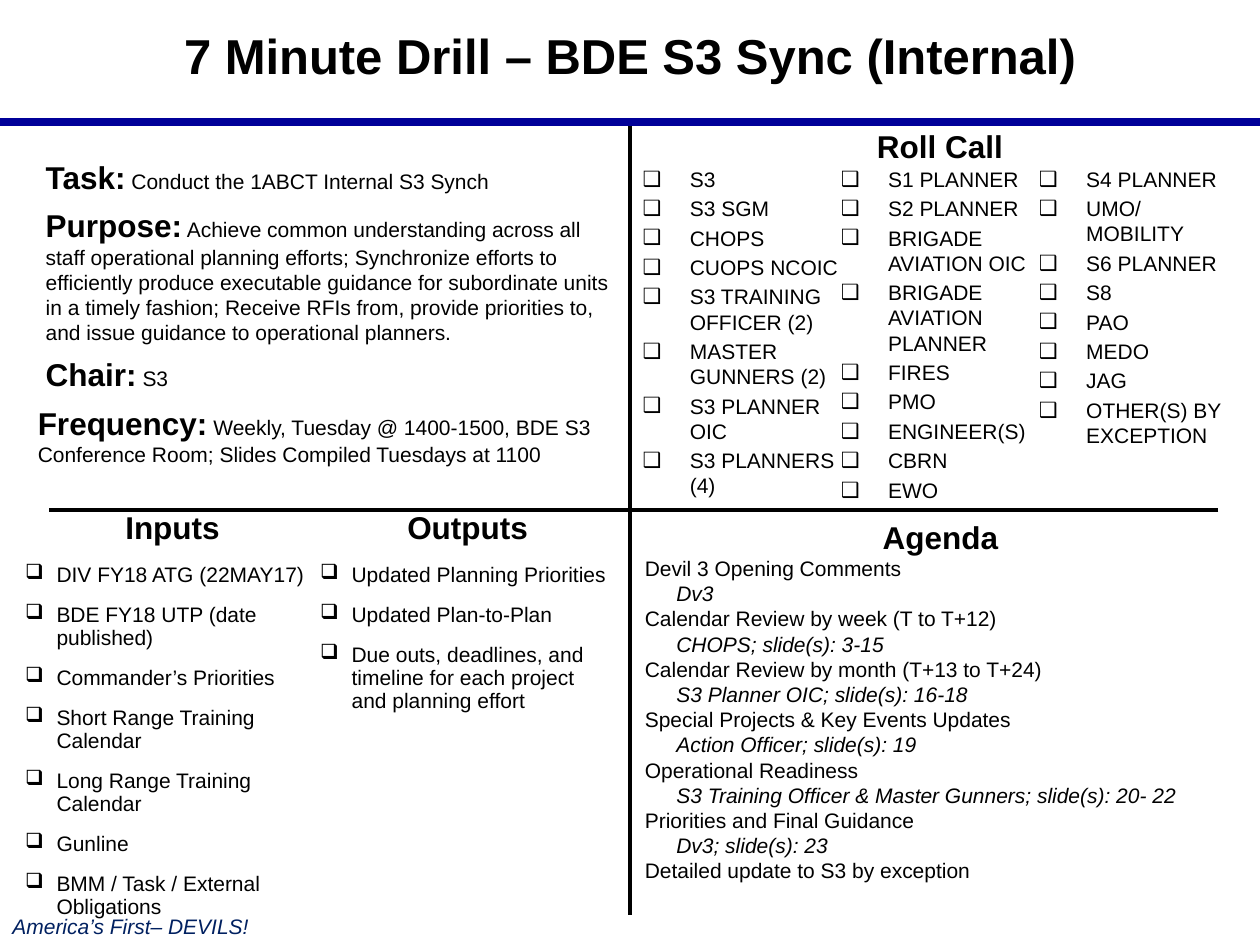
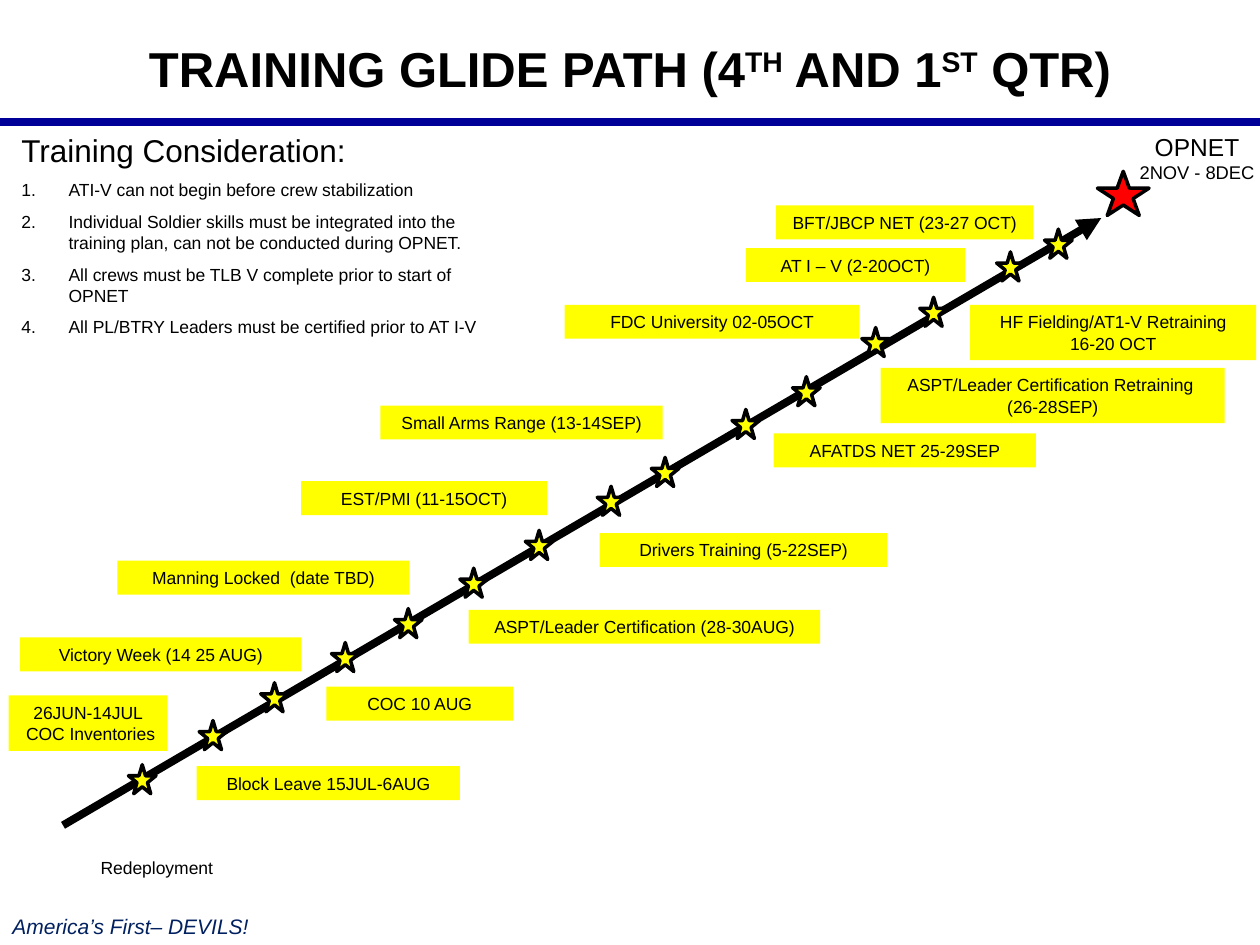
from dataclasses import dataclass, field
from typing import Any, NamedTuple, Optional

import pptx
import pptx.dml.color
import pptx.enum.shapes
import pptx.enum.text
import pptx.oxml
import pptx.oxml.ns
import pptx.util
from lxml import etree

Pt = pptx.util.Pt
RGB = pptx.dml.color.RGBColor
ALIGN = pptx.enum.text.PP_ALIGN
ANCHOR = pptx.enum.text.MSO_ANCHOR
SHAPE = pptx.enum.shapes.MSO_SHAPE
qn = pptx.oxml.ns.qn


@dataclass(frozen=True)
class Theme:
    font: str = "Arial"
    ink: RGB = RGB(0, 0, 0)
    band: RGB = RGB(0, 0, 0x99)
    motto: RGB = RGB(0, 0x20, 0x60)
    label: RGB = RGB(0xFF, 0xFF, 0)
    goal: RGB = RGB(0xFF, 0, 0)
    title: float = 28
    heading: float = 18
    opnet: float = 14
    text: float = 12
    dates: float = 10.5
    small: float = 10
    thick: float = 4.5
    rule: float = 2.25
    outline: float = 2


T = Theme()


class Box(NamedTuple):
    left: float
    top: float
    width: float
    height: float


class Run(NamedTuple):
    text: str
    size: float = T.text
    bold: bool = False
    italic: bool = False
    color: RGB = T.ink
    raised: bool = False


@dataclass(frozen=True)
class Para:
    runs: list[Run]
    margin: float = 0
    hang: float = 0
    bullet: str = ""
    fmt: dict[str, Any] = field(default_factory=dict)


class Label(NamedTuple):
    left: float
    top: float
    width: float
    lines: list[str]


CENTER = {"alignment": ALIGN.CENTER}
IO_FMT = {"line_spacing": 0.9, "space_before": Pt(10)}


def apply(obj: Any, values: dict[str, Any]) -> None:
    for name, value in values.items():
        setattr(obj, name, value)


def place(sp: Any, box: Box) -> None:
    apply(sp, {name: Pt(value) for name, value in box._asdict().items()})


def write(sp: Any, paras: list[Para], columns: int = 1, **frame: Any) -> None:
    tf = sp.text_frame
    apply(tf, {"word_wrap": True, "auto_size": pptx.enum.text.MSO_AUTO_SIZE.NONE,
               "vertical_anchor": ANCHOR.TOP} | frame)
    if columns > 1:
        tf._txBody.bodyPr.set("numCol", str(columns))
    for i, para in enumerate(paras):
        p = tf.add_paragraph() if i else tf.paragraphs[0]
        apply(p, para.fmt)
        pPr = p._p.get_or_add_pPr()
        pPr.set("marL", str(Pt(para.margin)))
        pPr.set("indent", str(Pt(-para.hang)))
        if para.bullet == "1.":
            etree.SubElement(pPr, qn("a:buAutoNum"), type="arabicPeriod")
        elif para.bullet:
            etree.SubElement(pPr, qn("a:buChar"), char=para.bullet)
        else:
            etree.SubElement(pPr, qn("a:buNone"))
        for run in para.runs:
            r = p.add_run()
            r.text = run.text
            apply(r.font, {"name": T.font, "size": Pt(run.size),
                           "bold": run.bold, "italic": run.italic})
            r.font.color.rgb = run.color
            if run.raised:
                r._r.get_or_add_rPr().set("baseline", "30000")


def add_text(s: Any, box: Box, paras: list[Para], **frame: Any) -> None:
    sp = s.shapes.add_textbox(*map(Pt, box))
    write(sp, paras, **frame)


def add_line(s: Any, start: tuple[float, float], end: tuple[float, float],
             color: RGB, width: float, arrow: bool = False) -> None:
    c = s.shapes.add_connector(pptx.enum.shapes.MSO_CONNECTOR.STRAIGHT,
                               *map(Pt, start + end))
    c.line.color.rgb = color
    c.line.width = Pt(width)
    spPr = c._element.spPr
    if arrow:
        etree.SubElement(spPr.find(qn("a:ln")), qn("a:tailEnd"), type="triangle")
    etree.SubElement(spPr, qn("a:effectLst"))


def add_shape(s: Any, kind: Any, box: Box, fill: RGB, outlined: bool) -> Any:
    sp = s.shapes.add_shape(kind, *map(Pt, box))
    sp.shadow.inherit = False
    sp.fill.solid()
    sp.fill.fore_color.rgb = fill
    if outlined:
        sp.line.color.rgb = T.ink
        sp.line.width = Pt(T.outline)
    else:
        sp.line.fill.background()
    return sp


def add_label(s: Any, label: Label) -> None:
    height = 19.4 + 12.3 * (len(label.lines) - 1)
    sp = add_shape(s, SHAPE.RECTANGLE, Box(*label[:3], height), T.label, False)
    write(sp, [Para([Run(line, T.small)], fmt=CENTER) for line in label.lines],
          vertical_anchor=ANCHOR.MIDDLE)


def heading(text: str, **fmt: Any) -> Para:
    return Para([Run(text, T.heading, True)], fmt=CENTER | fmt)


def checks(items: list[str], indent: float, **fmt: Any) -> list[Para]:
    return [Para([Run(item)], indent, indent, "❑", fmt) for item in items]


def fact(name: str, text: str, margin: float = 4.5) -> Para:
    return Para([Run(name, T.heading, True), Run(" " + text)], margin,
                fmt={"space_after": Pt(6)})


def new_slide(prs: Any, title_box: Box, title: list[Run], **fmt: Any) -> Any:
    s = prs.slides.add_slide(prs.slide_layouts[1])
    place(s.shapes.title, title_box)
    write(s.shapes.title, [Para(title, fmt=CENTER | fmt)], vertical_anchor=ANCHOR.MIDDLE)
    add_line(s, (0, 69.7), (720, 69.7), T.band, T.thick)
    add_text(s, Box(0, 518.4, 190.8, 21.6),
             [Para([Run("America’s First– DEVILS!", italic=True, color=T.motto)])],
             word_wrap=False)
    return s


FACTS = [
    fact("Task:", "Conduct the 1ABCT Internal S3 Synch"),
    fact("Purpose:", "Achieve common understanding across all staff operational planning "
         "efforts; Synchronize efforts to efficiently produce executable guidance for "
         "subordinate units in a timely fashion; Receive RFIs from, provide priorities to, "
         "and issue guidance to operational planners."),
    fact("Chair:", "S3"),
    fact("Frequency:", "Weekly, Tuesday @ 1400-1500, BDE S3 Conference Room; "
         "Slides Compiled Tuesdays at 1100", 0),
]
ROLL_CALL = [
    "S3", "S3 SGM", "CHOPS", "CUOPS NCOIC", "S3 TRAINING OFFICER (2)",
    "MASTER GUNNERS (2)", "S3 PLANNER OIC", "S3 PLANNERS (4)",
    "S1 PLANNER", "S2 PLANNER", "BRIGADE AVIATION OIC", "BRIGADE AVIATION PLANNER",
    "FIRES", "PMO", "ENGINEER(S)", "CBRN", "EWO",
    "S4 PLANNER", "UMO/MOBILITY", "S6 PLANNER", "S8", "PAO", "MEDO", "JAG",
    "OTHER(S) BY EXCEPTION",
]
INPUTS = [
    "DIV FY18 ATG (22MAY17)", "BDE FY18 UTP (date published)", "Commander’s Priorities",
    "Short Range Training Calendar", "Long Range Training Calendar", "Gunline",
    "BMM / Task / External Obligations",
]
OUTPUTS = [
    "Updated Planning Priorities", "Updated Plan-to-Plan",
    "Due outs, deadlines, and timeline for each project and planning effort",
]
AGENDA: list[tuple[str, Optional[str]]] = [
    ("Devil 3 Opening Comments", "Dv3"),
    ("Calendar Review by week (T to T+12)", "CHOPS; slide(s): 3-15"),
    ("Calendar Review by month (T+13 to T+24)", "S3 Planner OIC; slide(s): 16-18"),
    ("Special Projects & Key Events Updates", "Action Officer; slide(s): 19"),
    ("Operational Readiness", "S3 Training Officer & Master Gunners; slide(s): 20- 22"),
    ("Priorities and Final Guidance", "Dv3; slide(s): 23"),
    ("Detailed update to S3 by exception", None),
]
CONSIDERATIONS = [
    "ATI-V can not begin before crew stabilization",
    "Individual Soldier skills must be integrated into the training plan, "
    "can not be conducted during OPNET.",
    "All crews must be TLB V complete prior to start of OPNET",
    "All PL/BTRY Leaders must be certified prior to AT I-V",
]
LABELS = [
    Label(426.2, 141.8, 125.3, ["AT I – V (2-20OCT)"]),
    Label(112.3, 437.8, 150.5, ["Block Leave 15JUL-6AUG"]),
    Label(342.7, 304.6, 164.2, ["Drivers Training (5-22SEP)"]),
    Label(322.6, 174.2, 168.5, ["FDC University 02-05OCT"]),
    Label(442.1, 247.7, 149.8, ["AFATDS NET 25-29SEP"]),
    Label(443.5, 117.4, 146.9, ["BFT/JBCP NET (23-27 OCT)"]),
    Label(11.5, 364.3, 160.6, ["Victory Week (14 25 AUG)"]),
    Label(267.8, 348.5, 200.9, ["ASPT/Leader Certification (28-30AUG)"]),
    Label(5, 397.4, 90.7, ["26JUN-14JUL", " COC Inventories"]),
    Label(186.5, 392.4, 106.6, ["COC 10 AUG"]),
    Label(67, 320.4, 167, ["Manning Locked  (date TBD)"]),
    Label(217.4, 231.8, 161.3, ["Small Arms Range (13-14SEP)"]),
    Label(172.1, 275, 140.4, ["EST/PMI (11-15OCT)"]),
    Label(554.4, 174.2, 163.4, ["HF Fielding/AT1-V Retraining", "16-20 OCT"]),
    Label(503.3, 210.2, 196.6, ["ASPT/Leader Certification Retraining ", "(26-28SEP)"]),
]
MILESTONES = [
    (73.4, 437), (113.8, 411.8), (149, 390.2), (189.4, 367.2), (225.4, 347.8),
    (262.8, 324.7), (300.2, 303.1), (341.3, 277.9), (372.2, 261.4), (418.3, 234),
    (452.9, 215.3), (492.5, 187.2), (525.6, 169.9), (569.5, 144), (596.9, 131),
]


def build_drill(prs: Any) -> None:
    s = new_slide(prs, Box(0, 13.7, 720, 39.6),
                  [Run("7 Minute Drill – BDE S3 Sync (Internal)", T.title, True)],
                  line_spacing=0.9)
    add_line(s, (360, 72), (360, 522.7), T.ink, T.rule)
    add_line(s, (696.2, 291.6), (28.1, 291.6), T.ink, T.rule)
    inset = dict.fromkeys(("margin_left", "margin_top", "margin_right", "margin_bottom"), Pt(3.6))
    add_text(s, Box(18, 86.8, 342, 186), FACTS, **inset)

    agenda = [heading("Agenda")]
    for topic, lead in AGENDA:
        agenda.append(Para([Run(topic)]))
        if lead:
            agenda.append(Para([Run(lead, italic=True)], 18))
    add_text(s, Box(361.4, 292.3, 352.1, 218.2), agenda)

    add_text(s, Box(360, 69.1, 354.2, 28.8), [heading("Roll Call")])
    body = s.placeholders[1]
    place(body, Box(360, 91.4, 354.2, 201.6))
    write(body, checks(ROLL_CALL, 27), columns=3)
    add_text(s, Box(7.2, 289.4, 351.4, 246.2),
             [heading("Inputs", **IO_FMT), *checks(INPUTS, 18, **IO_FMT),
              heading("Outputs", **IO_FMT), *checks(OUTPUTS, 18, **IO_FMT)], columns=2)


def build_glide_path(prs: Any) -> None:
    parts = ["TRAINING GLIDE PATH (4", "TH", " AND 1", "ST", " QTR)"]
    s = new_slide(prs, Box(0, 0, 720, 77.8),
                  [Run(part, T.title, True, raised=part in ("TH", "ST")) for part in parts])
    add_shape(s, SHAPE.STAR_5_POINT, Box(627.1, 97.9, 29.5, 25.2), T.goal, True)
    body = s.placeholders[1]
    place(body, Box(5, 71.3, 291.6, 144))
    write(body, [Para([Run("Training Consideration:", T.heading)], fmt={"space_before": Pt(0)})]
          + [Para([Run(item, T.small)], 27, 27, "1.", {"space_before": Pt(6)})
             for item in CONSIDERATIONS])
    add_text(s, Box(50.4, 486, 90.7, 19.4), [Para([Run("Redeployment", T.small)])])
    add_text(s, Box(635.8, 72, 96.5, 37.4),
             [Para([Run("OPNET", T.opnet)], fmt=CENTER),
              Para([Run("2NOV - 8DEC", T.dates)], fmt=CENTER)])
    for label in LABELS:
        add_label(s, label)
    add_line(s, (36, 471.6), (629.3, 124.6), T.ink, T.thick, arrow=True)
    for left, top in MILESTONES:
        add_shape(s, SHAPE.STAR_5_POINT, Box(left, top, 15.8, 16.6), T.label, True)


def main() -> None:
    prs = pptx.Presentation()
    apply(prs, {"slide_width": Pt(720), "slide_height": Pt(540)})
    build_drill(prs)
    build_glide_path(prs)
    prs.save("out.pptx")


if __name__ == "__main__":
    main()
